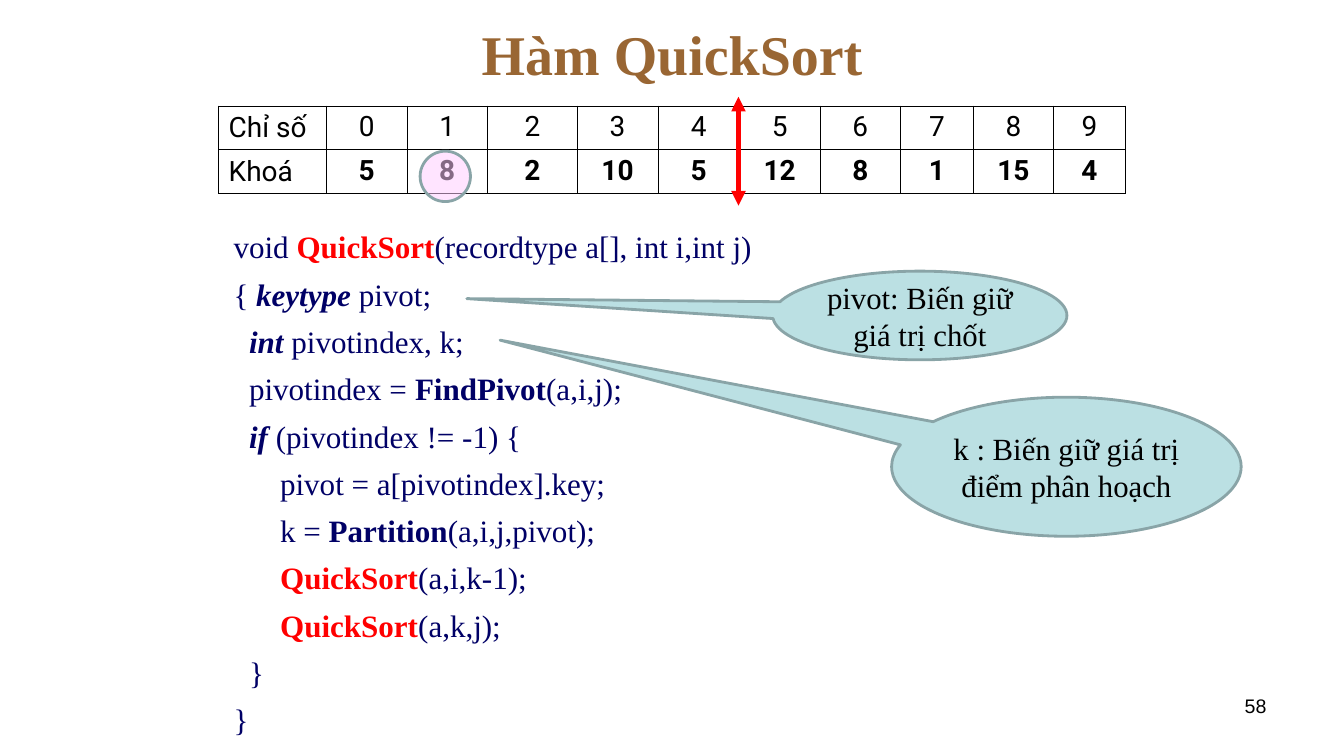
"""Build the QuickSort function slide with its key table, code and callouts."""
from dataclasses import dataclass
from typing import NamedTuple

from lxml import etree
from pptx import Presentation
from pptx.dml.color import RGBColor
from pptx.enum import shapes, text
from pptx.oxml import ns
from pptx.util import Inches, Pt

BLACK = RGBColor(0x00, 0x00, 0x00)
BROWN = RGBColor(0x99, 0x66, 0x33)
NAVY = RGBColor(0x00, 0x00, 0x66)
RED = RGBColor(0xFF, 0x00, 0x00)
PINK = RGBColor(0xFF, 0xCC, 0xFF)
PALE_TEAL = RGBColor(0xBB, 0xE0, 0xE3)
TEAL = RGBColor(0x89, 0xA4, 0xA7)
SERIF = "Times New Roman"
CENTER = text.PP_ALIGN.CENTER
MIDDLE = text.MSO_ANCHOR.MIDDLE


class Run(NamedTuple):
    text: str
    bold: bool = False
    italic: bool = False
    color: RGBColor = NAVY


@dataclass
class Callout:
    text: str
    left: float
    top: float
    width: float
    height: float
    tip: tuple[float, float]


QUICKSORT = Run("QuickSort", bold=True, color=RED)
CODE = [
    [Run("void "), QUICKSORT, Run("(recordtype a[], int i,int j)")],
    [Run("{ "), Run("keytype", True, True), Run(" pivot;")],
    [Run("  ", italic=True), Run("int ", True, True), Run("pivotindex, k;")],
    [Run("  pivotindex = "), Run("FindPivot", True), Run("(a,i,j);")],
    [Run("  "), Run("if", True, True), Run(" (pivotindex != -1) {")],
    [Run("      pivot = a[pivotindex].key;")],
    [Run("      k = "), Run("Partition", True), Run("(a,i,j,pivot);")],
    [Run("      "), QUICKSORT, Run("(a,i,k-1);")],
    [Run("      "), QUICKSORT, Run("(a,k,j);")],
    [Run("  }")],
    [Run("}")],
]
INDEX_ROW = ["Chỉ số", *map(str, range(10))]
KEY_ROW = ["Khoá", "5", "8", "2", "10", "5", "12", "8", "1", "15", "4"]
COLUMN_WIDTHS = [1.07, 0.8, 0.8, 0.89, 0.8, 0.81, 0.8, 0.8, 0.72, 0.8, 0.71]
CALLOUTS = [
    Callout("k : Biến giữ giá trị điểm phân hoạch", 8.85, 3.94, 3.47, 1.38, (-1.62, -0.91)),
    Callout("pivot: Biến giữ giá trị chốt", 7.67, 2.69, 2.92, 0.88, (-1.54, -0.19)),
]


def write(p, words: str, *, size: float, font: str = SERIF, color: RGBColor = BLACK,
          bold: bool = False, italic: bool = False, align=None) -> None:
    """Append one formatted run to a paragraph."""
    r = p.add_run()
    r.text = words
    r.font.size = Pt(size)
    r.font.name = font
    r.font.color.rgb = color
    r.font.bold = bold
    r.font.italic = italic
    if align is not None:
        p.alignment = align


def add_title(slide) -> None:
    """Place and format the title."""
    sp = slide.shapes.title
    sp.left, sp.top, sp.width, sp.height = map(Inches, (2.17, 0.3, 9, 0.45))
    tf = sp.text_frame
    tf.auto_size = text.MSO_AUTO_SIZE.NONE
    tf.vertical_anchor = MIDDLE
    write(tf.paragraphs[0], "Hàm QuickSort", size=40, color=BROWN, bold=True, align=CENTER)


def add_code(slide) -> None:
    """Add the QuickSort listing."""
    tf = slide.shapes.add_textbox(*map(Inches, (2.22, 2.21, 6.33, 4.95))).text_frame
    tf.word_wrap = True
    for i, line in enumerate(CODE):
        p = tf.add_paragraph() if i else tf.paragraphs[0]
        if i:
            p.space_before = Pt(7.15)
        for run in line:
            write(p, run.text, size=22.2, color=run.color, bold=run.bold, italic=run.italic)


def add_borders(cell) -> None:
    """Draw a thin black line on every side of a cell."""
    tc_pr = cell._tc.get_or_add_tcPr()
    for side in ("lnL", "lnR", "lnT", "lnB"):
        ln = etree.SubElement(tc_pr, ns.qn(f"a:{side}"), w=str(Pt(0.45)))
        fill = etree.SubElement(ln, ns.qn("a:solidFill"))
        etree.SubElement(fill, ns.qn("a:srgbClr"), val=str(BLACK))


def add_key_table(slide) -> None:
    """Add the table of indices and keys."""
    frame = slide.shapes.add_table(2, len(INDEX_ROW), *map(Inches, (2.17, 1.05, 9, 0.87)))
    table = frame.table
    table.first_row = table.horz_banding = False
    for column, width in zip(table.columns, COLUMN_WIDTHS):
        column.width = Inches(width)
    for r, row in enumerate((INDEX_ROW, KEY_ROW)):
        for c, words in enumerate(row):
            cell = table.cell(r, c)
            add_borders(cell)
            cell.fill.background()
            if c == 0:
                cell.vertical_anchor = MIDDLE
            write(cell.text_frame.paragraphs[0], words, size=20, font="Roboto",
                  bold=r == 1 and c > 0, align=CENTER if c else None)


def add_outlined(slide, kind, box: tuple[float, ...], color: RGBColor):
    """Add a filled shape with the teal outline."""
    sp = slide.shapes.add_shape(kind, *map(Inches, box))
    sp.shadow.inherit = False
    sp.fill.solid()
    sp.fill.fore_color.rgb = color
    sp.line.color.rgb = TEAL
    sp.line.width = Pt(2)
    return sp


def add_callout(slide, callout: Callout) -> None:
    """Add an elliptical callout with its note."""
    box = (callout.left, callout.top, callout.width, callout.height)
    sp = add_outlined(slide, shapes.MSO_SHAPE.OVAL_CALLOUT, box, PALE_TEAL)
    sp.adjustments[0], sp.adjustments[1] = callout.tip
    tf = sp.text_frame
    tf.word_wrap = True
    tf.vertical_anchor = MIDDLE
    write(tf.paragraphs[0], callout.text, size=22, align=CENTER)


def add_pivot_ring(slide) -> None:
    """Ring the pivot key with a translucent circle."""
    sp = add_outlined(slide, shapes.MSO_SHAPE.OVAL, (4.17, 1.5, 0.5, 0.5), PINK)
    color = sp.fill._xPr.find(".//" + ns.qn("a:srgbClr"))
    etree.SubElement(color, ns.qn("a:alpha"), val="52000")


def add_split_arrow(slide) -> None:
    """Add the double-headed arrow at the partition point."""
    line = slide.shapes.add_connector(shapes.MSO_CONNECTOR.STRAIGHT,
                                      *map(Inches, (7.33, 0.96, 7.33, 2.04)))
    line.line.color.rgb = RED
    line.line.width = Pt(3.5)
    ln = line.line._get_or_add_ln()
    for end in ("headEnd", "tailEnd"):
        etree.SubElement(ln, ns.qn(f"a:{end}"), type="triangle")
    etree.SubElement(line._element.spPr, ns.qn("a:effectLst"))


def add_page_number(slide) -> None:
    """Add the page number."""
    tf = slide.shapes.add_textbox(*map(Inches, (9.56, 6.83, 3.11, 0.52))).text_frame
    tf.word_wrap = True
    write(tf.paragraphs[0], "58", size=14, font="Arial", align=text.PP_ALIGN.RIGHT)


def main() -> None:
    """Build and save the slide."""
    prs = Presentation()
    prs.slide_width, prs.slide_height = Inches(13.34), Inches(7.5)
    slide = prs.slides.add_slide(prs.slide_layouts[5])
    add_title(slide)
    add_code(slide)
    add_key_table(slide)
    add_page_number(slide)
    for callout in CALLOUTS:
        add_callout(slide, callout)
    add_pivot_ring(slide)
    add_split_arrow(slide)
    prs.save("out.pptx")


if __name__ == "__main__":
    main()
